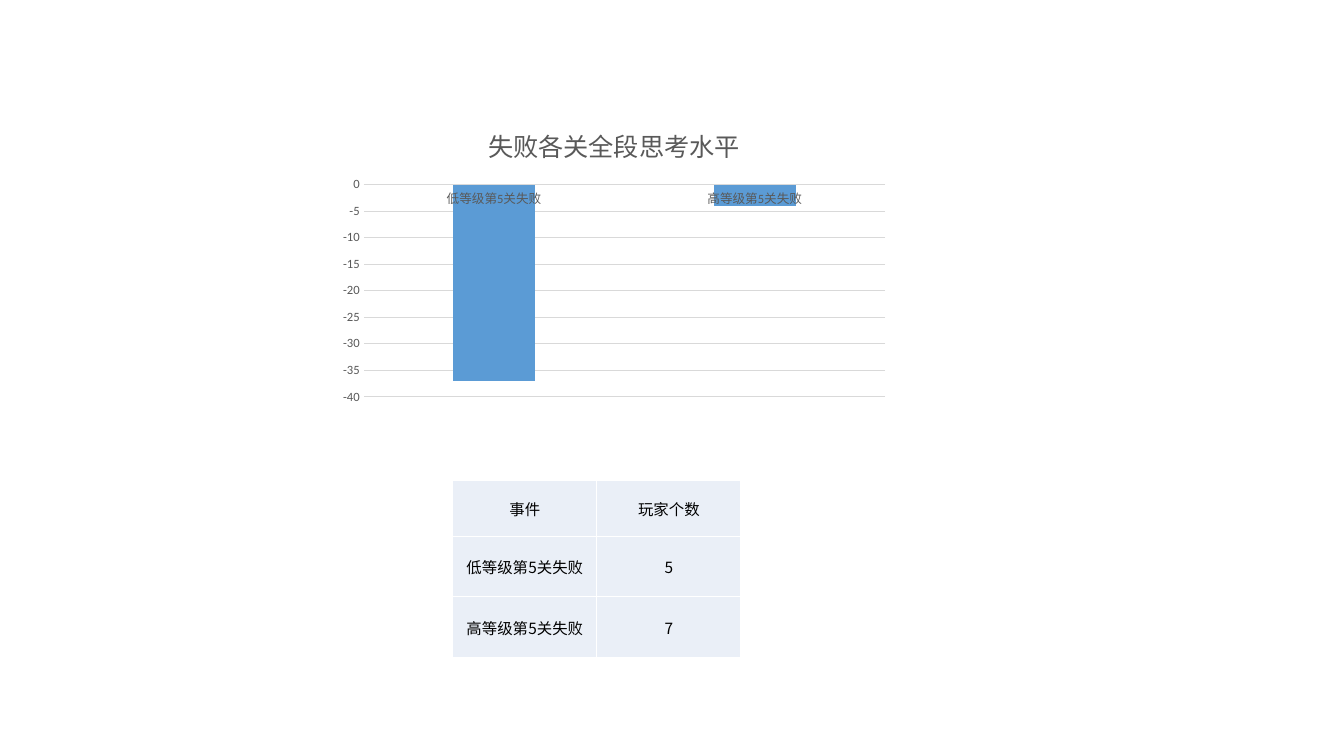
import pptx
import pptx.chart.data
import pptx.dml.color
import pptx.enum.chart
import pptx.enum.text
import pptx.oxml
import pptx.oxml.ns
import pptx.util
from pptx.util import Inches, Pt

RGBColor = pptx.dml.color.RGBColor

CHART_TITLE = "失败各关全段思考水平"
EVENTS = ["低等级第5关失败", "高等级第5关失败"]
THINKING_LEVELS = [-37, -4]
PLAYER_ROWS = [("事件", "玩家个数"), (EVENTS[0], "5"), (EVENTS[1], "7")]
COLUMN_WIDTH = 1.43
ROW_HEIGHTS = [0.55, 0.6, 0.6]
LATIN_FONT = "Calibri"
CHINESE_FONT = "Noto Sans CJK SC"

WHITE = RGBColor(0xFF, 0xFF, 0xFF)
BLACK = RGBColor(0x00, 0x00, 0x00)
GRAY = RGBColor(0x59, 0x59, 0x59)
LIGHT_GRAY = RGBColor(0xD9, 0xD9, 0xD9)
BLUE = RGBColor(0x5B, 0x9B, 0xD5)
PALE_BLUE = RGBColor(0xEA, 0xEF, 0xF7)


def style_font(font, size, color, name):
    font.size = Pt(size)
    font.bold = False
    font.color.rgb = color
    font.name = name


def style_line(line, color):
    line.color.rgb = color
    line.width = Pt(0.75)


def add_level_chart(slide):
    data = pptx.chart.data.CategoryChartData()
    data.categories = EVENTS
    data.add_series("Series 1", THINKING_LEVELS)
    chart = slide.shapes.add_chart(
        pptx.enum.chart.XL_CHART_TYPE.COLUMN_CLUSTERED,
        Inches(3.29), Inches(1.07), Inches(5.6), Inches(3), data).chart
    style_font(chart.font, 10, BLACK, LATIN_FONT)
    chart.has_legend = False
    chart.has_title = True
    chart.chart_title.include_in_layout = False
    title = chart.chart_title.text_frame
    title.text = CHART_TITLE
    style_font(title.paragraphs[0].font, 18, GRAY, LATIN_FONT)

    for axis in (chart.category_axis, chart.value_axis):
        axis.major_tick_mark = pptx.enum.chart.XL_TICK_MARK.NONE
        axis.minor_tick_mark = pptx.enum.chart.XL_TICK_MARK.NONE
        style_font(axis.tick_labels.font, 9, GRAY, LATIN_FONT)
    style_line(chart.category_axis.format.line, LIGHT_GRAY)
    chart.value_axis.format.line.fill.background()
    style_line(chart.value_axis.major_gridlines.format.line, LIGHT_GRAY)

    plot = chart.plots[0]
    plot.vary_by_categories = False
    plot.gap_width = 219
    plot.overlap = -27
    series = plot.series[0]
    series.invert_if_negative = False
    series.format.fill.solid()
    series.format.fill.fore_color.rgb = BLUE


def format_cell(cell, text):
    cell.text = text
    cell.vertical_anchor = pptx.enum.text.MSO_ANCHOR.MIDDLE
    cell.margin_left = cell.margin_right = cell.margin_top = Inches(0.01)
    cell.margin_bottom = 0
    paragraph = cell.text_frame.paragraphs[0]
    paragraph.alignment = pptx.enum.text.PP_ALIGN.CENTER
    style_font(paragraph.font, 11, BLACK, CHINESE_FONT)
    properties = cell._tc.get_or_add_tcPr()
    for side in ("lnL", "lnR", "lnT", "lnB"):
        properties.append(pptx.oxml.parse_xml(
            f'<a:{side} {pptx.oxml.ns.nsdecls("a")} w="{Pt(1)}"><a:solidFill>'
            f'<a:srgbClr val="{WHITE}"/></a:solidFill></a:{side}>'))
    cell.fill.solid()
    cell.fill.fore_color.rgb = PALE_BLUE


def add_player_table(slide):
    column_count = len(PLAYER_ROWS[0])
    table = slide.shapes.add_table(
        len(PLAYER_ROWS), column_count, Inches(4.49), Inches(4.77),
        Inches(COLUMN_WIDTH * column_count), Inches(sum(ROW_HEIGHTS))).table
    for column in table.columns:
        column.width = Inches(COLUMN_WIDTH)
    for row, height, texts in zip(table.rows, ROW_HEIGHTS, PLAYER_ROWS):
        row.height = Inches(height)
        for cell, text in zip(row.cells, texts):
            format_cell(cell, text)


def main():
    presentation = pptx.Presentation()
    presentation.slide_width = Inches(13.33)
    presentation.slide_height = Inches(7.5)
    slide = presentation.slides.add_slide(presentation.slide_layouts[6])
    slide.background.fill.solid()
    slide.background.fill.fore_color.rgb = WHITE
    add_player_table(slide)
    add_level_chart(slide)
    presentation.save("out.pptx")


if __name__ == "__main__":
    main()
